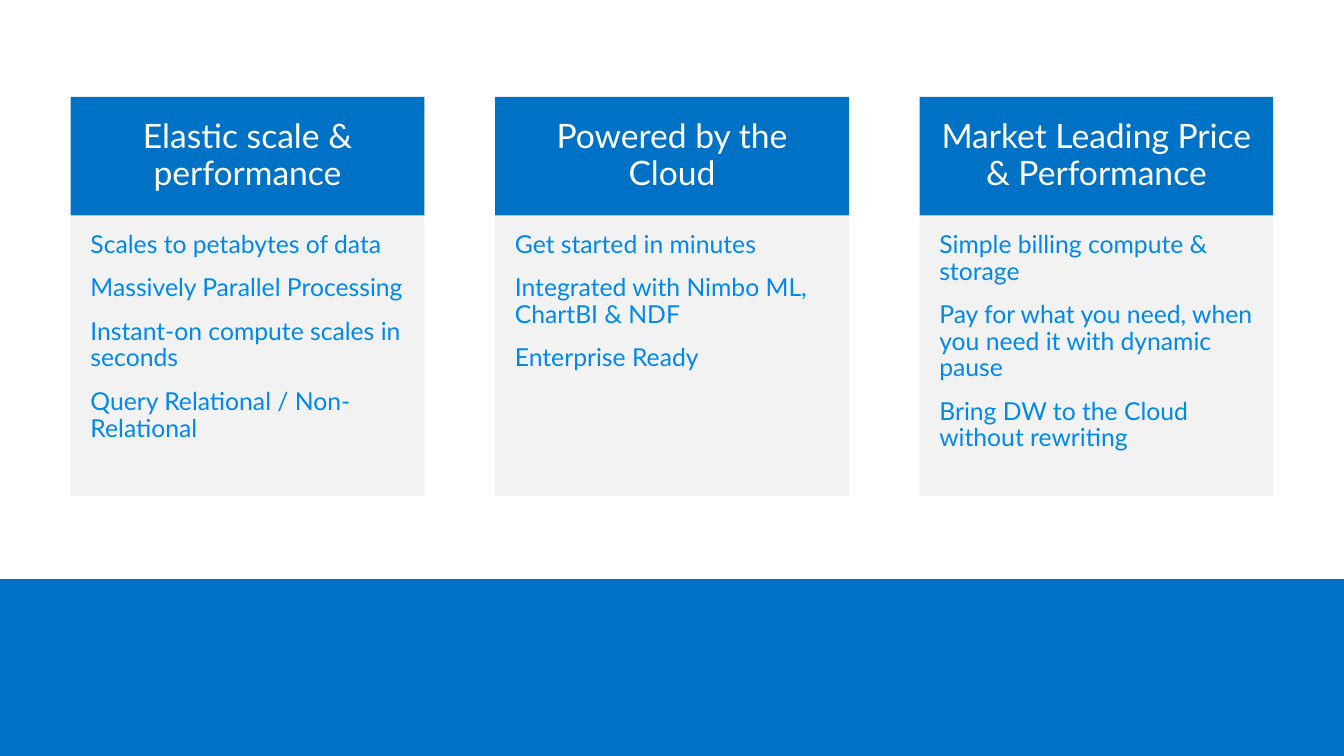
from dataclasses import dataclass

from pptx import Presentation
from pptx.dml.color import RGBColor
from pptx.enum.shapes import MSO_SHAPE
from pptx.enum.text import MSO_ANCHOR, PP_ALIGN
from pptx.util import Inches, Pt

SLIDE_WIDTH, SLIDE_HEIGHT = 13.6, 7.65
GRID_COLUMNS, GRID_ROWS = 19, 100
CARD_COLUMNS, GAP_COLUMNS = 5, 1
HEADER_TOP, HEADER_ROWS = 12.8, 15.7
BODY_TOP, BODY_ROWS = 28.6, 37
BAND_TOP = 76.6


@dataclass(frozen=True)
class Theme:
    font: str = "Lato"
    heading_size: float = 24.5
    body_size: float = 18
    blue: str = "0072C6"
    panel: str = "F2F2F2"
    heading_color: str = "FFFFFF"
    body_color: str = "0088EE"


THEME = Theme()

CARDS = [
    ("Elastic scale & performance", [
        "Scales to petabytes of data",
        "Massively Parallel Processing",
        "Instant-on compute scales in seconds",
        "Query Relational / Non-Relational",
    ]),
    ("Powered by the Cloud", [
        "Get started in minutes",
        "Integrated with Nimbo ML, ChartBI & NDF",
        "Enterprise Ready",
    ]),
    ("Market Leading Price & Performance", [
        "Simple billing compute & storage",
        "Pay for what you need, when you need it with dynamic pause",
        "Bring DW to the Cloud without rewriting",
    ]),
]


def add_block(slide, column, row, columns, rows, color):
    """Add a plain filled rectangle placed in grid columns and rows."""
    column_width = SLIDE_WIDTH / GRID_COLUMNS
    row_height = SLIDE_HEIGHT / GRID_ROWS
    shape = slide.shapes.add_shape(
        MSO_SHAPE.RECTANGLE,
        Inches(column * column_width), Inches(row * row_height),
        Inches(columns * column_width), Inches(rows * row_height))
    shape.shadow.inherit = False
    shape.fill.solid()
    shape.fill.fore_color.rgb = RGBColor.from_string(color)
    shape.line.fill.background()
    return shape


def write_text(shape, lines, *, size, color, align=PP_ALIGN.LEFT,
               anchor=MSO_ANCHOR.TOP, space_after=0):
    frame = shape.text_frame
    frame.word_wrap = True
    frame.vertical_anchor = anchor
    frame.margin_left = frame.margin_right = Inches(0.2)
    frame.margin_top = frame.margin_bottom = Inches(0.16)
    for index, line in enumerate(lines):
        paragraph = frame.add_paragraph() if index else frame.paragraphs[0]
        paragraph.text = line
        paragraph.alignment = align
        paragraph.line_spacing = 0.9
        paragraph.space_after = Pt(space_after)
        paragraph.font.name = THEME.font
        paragraph.font.size = Pt(size)
        paragraph.font.color.rgb = RGBColor.from_string(color)


def add_card(slide, column, heading, points):
    body = add_block(slide, column, BODY_TOP, CARD_COLUMNS, BODY_ROWS, THEME.panel)
    write_text(body, points, size=THEME.body_size, color=THEME.body_color,
               space_after=12.2)
    header = add_block(slide, column, HEADER_TOP, CARD_COLUMNS, HEADER_ROWS, THEME.blue)
    write_text(header, [heading], size=THEME.heading_size,
               color=THEME.heading_color, align=PP_ALIGN.CENTER,
               anchor=MSO_ANCHOR.MIDDLE)


def main():
    presentation = Presentation()
    presentation.slide_width = Inches(SLIDE_WIDTH)
    presentation.slide_height = Inches(SLIDE_HEIGHT)
    slide = presentation.slides.add_slide(presentation.slide_layouts[6])
    add_block(slide, 0, BAND_TOP, GRID_COLUMNS, GRID_ROWS - BAND_TOP, THEME.blue)
    for index, (heading, points) in enumerate(CARDS):
        column = GAP_COLUMNS + index * (CARD_COLUMNS + GAP_COLUMNS)
        add_card(slide, column, heading, points)
    presentation.save("out.pptx")


if __name__ == "__main__":
    main()
